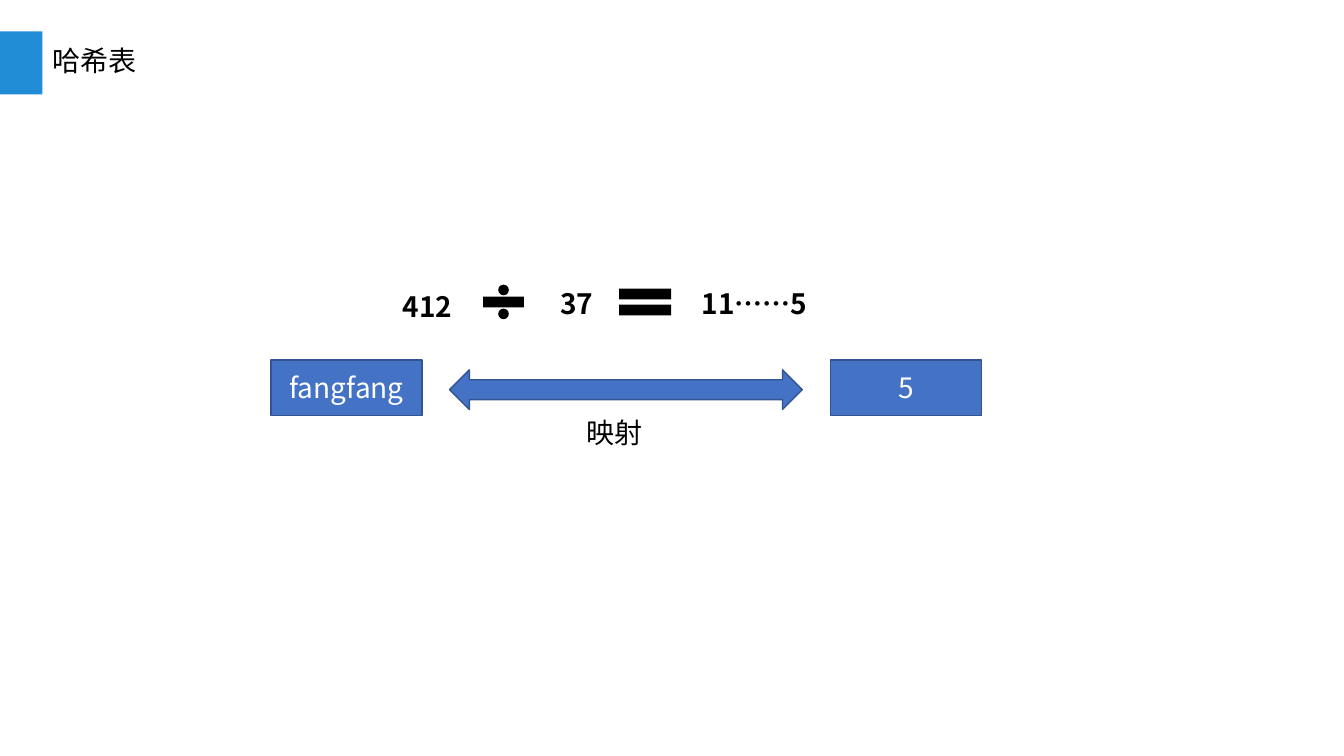
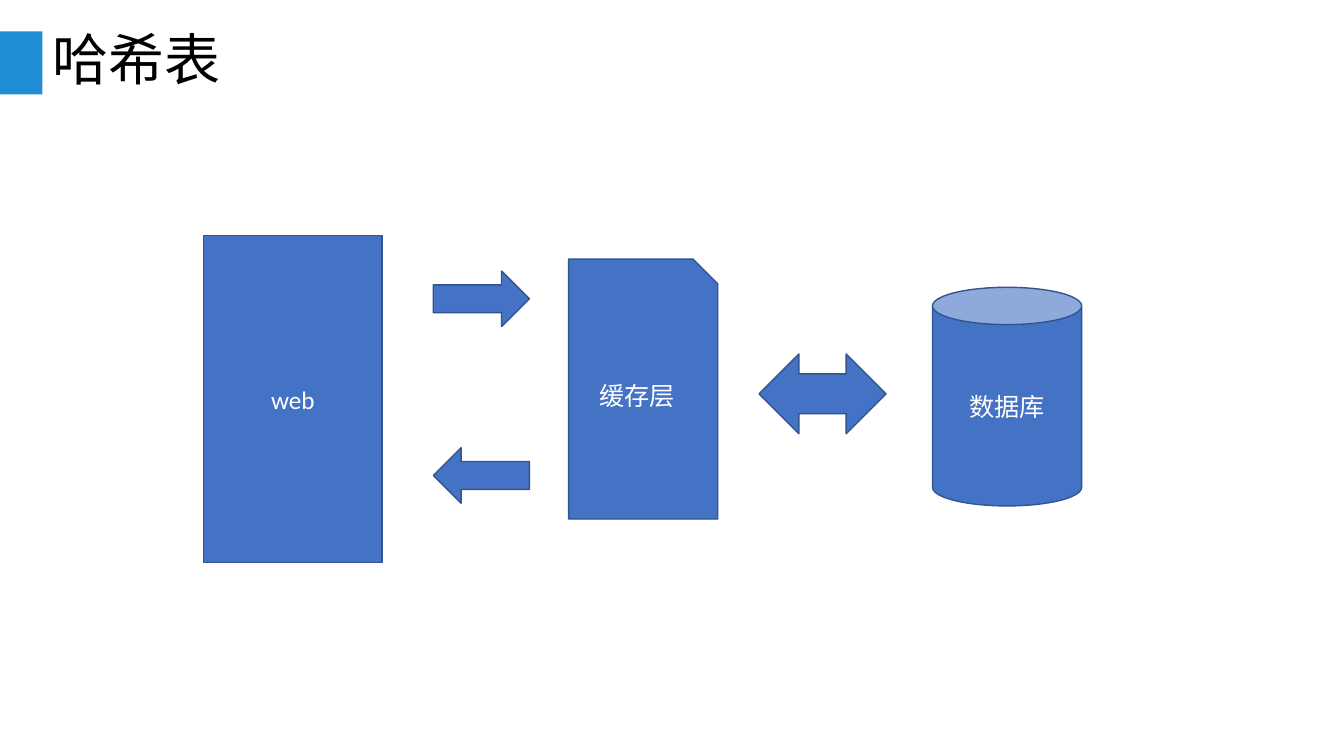
"""Build two hash table slides: remainder mapping and cache layer."""
from lxml import etree
from pptx import Presentation
from pptx import util as u
from pptx.dml import color
from pptx.enum import shapes, text
from pptx.oxml import ns

SHAPE = shapes.MSO_SHAPE
ALIGN = text.PP_ALIGN
CJK_FONT = "Noto Sans CJK SC"
LATIN_FONT = "Calibri"
ACCENT, BLUE, OUTLINE = "218DD6", "4472C4", "325491"
BLACK, WHITE = "000000", "FFFFFF"
TITLE = "哈希表"


def rgb(hex_value):
    """Turn a hex string into a colour."""
    return color.RGBColor.from_string(hex_value)


def apply_format(target, values):
    """Set every attribute named in values on target."""
    for name, value in values.items():
        setattr(target, name, value)


def place(left, top, width, height):
    """Return a position and size given in centimetres."""
    return [u.Cm(value) for value in (left, top, width, height)]


def write(frame, words, size, ink, font=CJK_FONT, bold=False,
          align=ALIGN.CENTER, anchor=text.MSO_ANCHOR.MIDDLE, wrap=True):
    """Write one formatted paragraph into a text frame."""
    apply_format(frame, {"word_wrap": wrap, "vertical_anchor": anchor,
                         "auto_size": text.MSO_AUTO_SIZE.NONE})
    paragraph = frame.paragraphs[0]
    paragraph.alignment = align
    run = paragraph.add_run()
    run.text = words
    apply_format(run.font, {"size": u.Pt(size), "name": font, "bold": bold})
    run.font.color.rgb = rgb(ink)
    etree.SubElement(run.font._element, ns.qn("a:ea"), typeface=CJK_FONT)
    return paragraph


def add_figure(slide, kind, box, fill=BLUE, outline=OUTLINE):
    """Add a flat preset shape, outlined unless outline is None."""
    figure = slide.shapes.add_shape(kind, *place(*box))
    figure.shadow.inherit = False
    figure.fill.solid()
    figure.fill.fore_color.rgb = rgb(fill)
    if outline:
        figure.line.color.rgb = rgb(outline)
        figure.line.width = u.Pt(1)
    else:
        figure.line.fill.background()
    return figure


def add_node(slide, kind, box, words, size, font=CJK_FONT):
    """Add a blue shape with a white caption."""
    node = add_figure(slide, kind, box)
    write(node.text_frame, words, size, WHITE, font)


def add_label(slide, box, words, **style):
    """Add black text without a frame."""
    label = slide.shapes.add_textbox(*place(*box))
    write(label.text_frame, words, 20, BLACK,
          anchor=text.MSO_ANCHOR.TOP, **style)


def start_slide(deck, title_size):
    """Add a slide with the accent band and the shared title."""
    slide = deck.slides.add_slide(deck.slide_layouts[5])
    add_figure(slide, SHAPE.RECTANGLE, (0, 0.79, 1.07, 1.59), ACCENT, None)
    heading = slide.shapes.title
    sides = ("left", "top", "width", "height")
    apply_format(heading, dict(zip(sides, place(1.07, 0.76, 31.75, 1.63))))
    paragraph = write(heading.text_frame, TITLE, title_size, BLACK,
                      align=ALIGN.LEFT)
    paragraph.line_spacing = 0.9
    return slide


def build_mapping(deck):
    """Show how a division remainder maps a name to a slot."""
    slide = start_slide(deck, 20)
    for left, words in ((6.83, "fangfang"), (20.93, "5")):
        add_node(slide, SHAPE.RECTANGLE, (left, 9.07, 3.81, 1.4), words, 20)
    add_figure(slide, SHAPE.LEFT_RIGHT_ARROW, (11.33, 9.32, 8.89, 1))
    for left, top, width, number in ((9.25, 7.16, 3.2, "412 "),
                                     (13.56, 7.09, 2.11, "37 "),
                                     (16.13, 7.09, 5.94, "11……5 ")):
        add_label(slide, (left, top, width, 1.12), number, bold=True)
    for operator, left, width in ((SHAPE.MATH_DIVIDE, 11.99, 1.4),
                                  (SHAPE.MATH_EQUAL, 15.37, 1.78)):
        add_figure(slide, operator, (left, 7.04, width, 1.14), BLACK, None)
    add_label(slide, (14.53, 10.34, 1.93, 1.12), "映射",
              align=ALIGN.LEFT, wrap=False)


def build_cache(deck):
    """Show the cache layer between web and database."""
    slide = start_slide(deck, 40)
    for kind, box, words in (
            (SHAPE.RECTANGLE, (5.13, 5.94, 4.5, 8.23), "web"),
            (SHAPE.CAN, (23.5, 7.24, 3.76, 5.51), "数据库"),
            (SHAPE.SNIP_1_RECTANGLE, (14.33, 6.53, 3.76, 6.55), "缓存层")):
        add_node(slide, kind, box, words, 18, LATIN_FONT)
    for top, turn in ((6.83, 0), (11.28, 180)):
        flow = add_figure(slide, SHAPE.RIGHT_ARROW, (10.92, top, 2.42, 1.4))
        flow.rotation = turn
    add_figure(slide, SHAPE.LEFT_RIGHT_ARROW, (19.13, 8.92, 3.2, 2.01))


def main():
    """Build and save the deck."""
    deck = Presentation()
    apply_format(deck, {"slide_width": u.Cm(33.87),
                        "slide_height": u.Cm(19.05)})
    build_mapping(deck)
    build_cache(deck)
    deck.save("out.pptx")


main()
